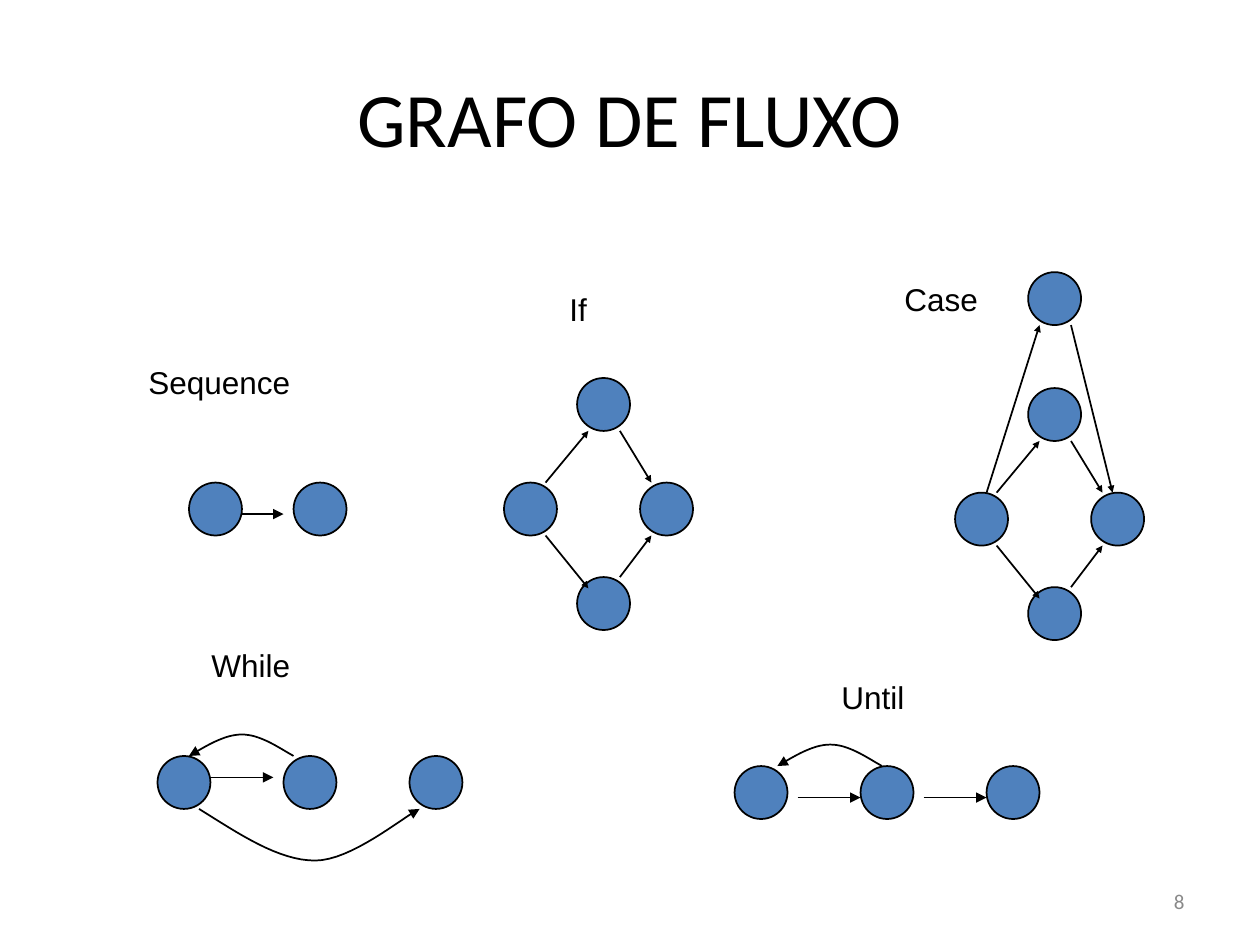
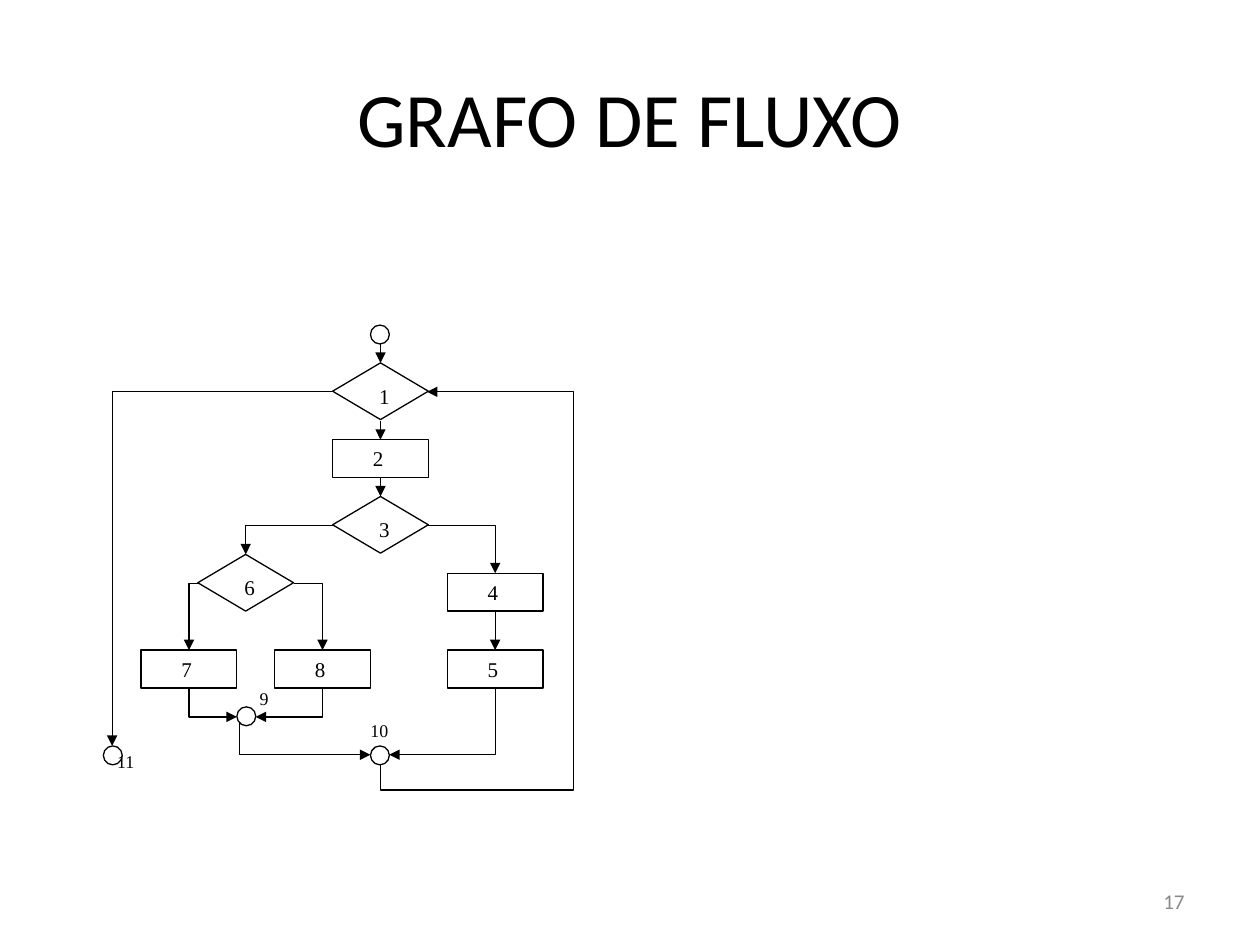
from lxml import etree
from pptx import Presentation
from pptx import util as u
from pptx.dml.color import RGBColor
from pptx.enum import shapes, text
from pptx.oxml import ns

BLACK = RGBColor(0x00, 0x00, 0x00)
WHITE = RGBColor(0xFF, 0xFF, 0xFF)
GREY = RGBColor(0x89, 0x89, 0x89)
BLUE = RGBColor(0x4F, 0x81, 0xBD)
TITLE = "GRAFO DE FLUXO"
NODE = 0.42
JOIN = 0.15
STEP_WIDTH = 0.76
DECISION_HEIGHT = 0.45
PROCESS_HEIGHT = 0.3
CURVE_STEPS = 16


def shift(origin, points):
    return [(origin[0] + x, origin[1] + y) for x, y in points]


def style_paragraph(paragraph, size, font, color, align):
    paragraph.alignment = align
    paragraph.font.size = u.Pt(size)
    paragraph.font.name = font
    paragraph.font.color.rgb = color


def add_text(slide, box, words, size, font, color=BLACK, align=text.PP_ALIGN.LEFT,
             anchor=text.MSO_ANCHOR.TOP, insets=(0.1, 0.05), spacing=None):
    shape = slide.shapes.add_textbox(*map(u.Inches, box))
    frame = shape.text_frame
    frame.word_wrap = True
    frame.vertical_anchor = anchor
    frame.margin_left = frame.margin_right = u.Inches(insets[0])
    frame.margin_top = frame.margin_bottom = u.Inches(insets[1])
    paragraph = frame.paragraphs[0]
    paragraph.text = words
    paragraph.line_spacing = spacing
    style_paragraph(paragraph, size, font, color, align)


def add_slide(presentation, number):
    slide = presentation.slides.add_slide(presentation.slide_layouts[5])
    title = slide.shapes.title
    title.left, title.top = u.Inches(0.5), u.Inches(0.3)
    title.width, title.height = u.Inches(9), u.Inches(1.25)
    title.text_frame.text = TITLE
    title.text_frame.vertical_anchor = text.MSO_ANCHOR.MIDDLE
    style_paragraph(title.text_frame.paragraphs[0], 44, "Calibri", BLACK, text.PP_ALIGN.CENTER)
    add_text(slide, (7.17, 6.95, 2.33, 0.4), number, 12, "Calibri", GREY,
             text.PP_ALIGN.RIGHT, text.MSO_ANCHOR.MIDDLE)
    return slide


def add_outline(slide, kind, box, fill, width):
    shape = slide.shapes.add_shape(kind, *map(u.Inches, box))
    shape.shadow.inherit = False
    shape.fill.solid()
    shape.fill.fore_color.rgb = fill
    shape.line.color.rgb = BLACK
    shape.line.width = u.Pt(width)
    return shape


def finish_arrow(shape, width, head):
    shape.line.color.rgb = BLACK
    shape.line.width = u.Pt(width)
    line = shape.line._get_or_add_ln()
    etree.SubElement(line, ns.qn("a:tailEnd"), type="triangle", w=head, len=head)


def add_arrow(slide, start, end, width=1, head="med"):
    connector = slide.shapes.add_connector(
        shapes.MSO_CONNECTOR.STRAIGHT, *map(u.Inches, (*start, *end)))
    finish_arrow(connector, width, head)
    etree.SubElement(connector._element.spPr, ns.qn("a:effectLst"))


def add_path_arrow(slide, points, width=1):
    start, *rest = [(u.Inches(x), u.Inches(y)) for x, y in points]
    builder = slide.shapes.build_freeform(*start)
    builder.add_line_segments(rest, close=False)
    shape = builder.convert_to_shape()
    shape.shadow.inherit = False
    shape.fill.background()
    finish_arrow(shape, width, "med")


def bezier(start, first, second, end):
    for step in range(1, CURVE_STEPS + 1):
        t = step / CURVE_STEPS
        weights = ((1 - t) ** 3, 3 * t * (1 - t) ** 2, 3 * t * t * (1 - t), t ** 3)
        yield tuple(sum(w * point[axis] for w, point in zip(weights, (start, first, second, end)))
                    for axis in (0, 1))


def add_curve_arrow(slide, points):
    path = [points[0]]
    for index in range(0, len(points) - 1, 3):
        path.extend(bezier(*points[index:index + 4]))
    add_path_arrow(slide, path)


def add_back_arc(slide, origin):
    add_curve_arrow(slide, shift(origin, [
        (0.83, 0), (0.69, -0.08), (0.56, -0.17), (0.42, -0.17),
        (0.28, -0.17), (0.14, -0.08), (0, 0)]))


def add_nodes(slide, origin, offsets):
    for x, y in shift(origin, offsets):
        add_outline(slide, shapes.MSO_SHAPE.OVAL, (x, y, NODE, NODE), BLUE, 1)


def add_node_row(slide, origin, count, pitch):
    add_nodes(slide, origin, [(index * pitch, 0) for index in range(count)])


def add_arrows(slide, origin, pairs, head="med"):
    for pair in pairs:
        add_arrow(slide, *shift(origin, pair), head=head)


def add_sequence(slide, origin):
    add_node_row(slide, origin, 2, 0.83)
    add_arrows(slide, origin, [((0.42, 0.25), (0.75, 0.25))])


def add_if(slide, origin):
    add_nodes(slide, origin, [(0, 0.83), (0.58, 1.58), (0.58, 0), (1.08, 0.83)])
    add_arrows(slide, origin, [
        ((0.33, 0.83), (0.67, 0.42)), ((0.92, 0.42), (1.17, 0.83)),
        ((0.33, 1.25), (0.67, 1.67)), ((0.92, 1.58), (1.17, 1.25))], "sm")


def add_case(slide, origin):
    add_if(slide, origin)
    add_nodes(slide, origin, [(0.58, -0.92)])
    add_arrows(slide, origin, [
        ((0.25, 0.83), (0.67, -0.5)), ((0.92, -0.5), (1.25, 0.83))], "sm")


def add_while(slide, origin):
    add_node_row(slide, origin, 3, 1)
    add_arrows(slide, origin, [((0.42, 0.17), (0.92, 0.17))])
    add_back_arc(slide, shift(origin, [(0.25, 0)])[0])
    add_curve_arrow(slide, shift(origin, [
        (0.33, 0.42), (0.65, 0.62), (0.96, 0.83), (1.25, 0.83),
        (1.54, 0.83), (1.94, 0.49), (2.08, 0.42)]))


def add_until(slide, origin):
    add_node_row(slide, origin, 3, 1)
    add_arrows(slide, origin, [((x, 0.25), (x + 0.5, 0.25)) for x in (0.5, 1.5)])
    add_back_arc(slide, shift(origin, [(0.34, 0)])[0])


def add_structures_slide(presentation):
    slide = add_slide(presentation, "8")
    structures = [
        ("Sequence", (1.08, 2.83, 1.83), add_sequence, (1.5, 3.83)),
        ("If", (4.42, 2.25, 0.92), add_if, (4, 3)),
        ("Case", (7.08, 2.17, 0.92), add_case, (7.58, 3.08)),
        ("While", (1.58, 5.08, 1.92), add_while, (1.25, 6)),
        ("Until", (6.58, 5.33, 1.5), add_until, (5.83, 6.08)),
    ]
    for name, label_box, draw, origin in structures:
        draw(slide, origin)
        add_text(slide, (*label_box, 0.4), name, 18, "Arial")


def add_step(slide, kind, box, number, indent):
    shape = add_outline(slide, kind, box, WHITE, 0.75)
    frame = shape.text_frame
    frame.word_wrap = True
    frame.vertical_anchor = text.MSO_ANCHOR.TOP
    frame.margin_left, frame.margin_right = u.Inches(indent), 0
    frame.margin_top = frame.margin_bottom = u.Inches(0.05)
    frame.text = number
    style_paragraph(frame.paragraphs[0], 12, "Times New Roman", BLACK, text.PP_ALIGN.LEFT)


def add_flowchart(slide, origin):
    decisions = {"1": (1.82, 0.3), "3": (1.82, 1.36), "6": (0.75, 1.82)}
    processes = {"2": (1.82, 0.91), "4": (2.73, 1.97), "5": (2.73, 2.58),
                 "7": (0.3, 2.58), "8": (1.36, 2.58)}
    joins = [(2.12, 0), (2.12, 3.34), (1.06, 3.03), (0, 3.34)]
    join_labels = {"10": (2, 3.09, 0.44), "9": (1.12, 2.84, 0.3), "11": (-0.01, 3.34, 0.44)}
    straight_arrows = [(2.2, 0.15, 0.3), (2.2, 0.76, 0.91), (2.2, 1.21, 1.36), (3.11, 2.28, 2.58)]
    bent_arrows = [
        [(2.57, 1.59), (3.11, 1.59), (3.11, 1.97)],
        [(1.82, 1.59), (1.13, 1.59), (1.13, 1.82)],
        [(0.76, 2.05), (0.68, 2.05), (0.68, 2.58)],
        [(1.51, 2.05), (1.74, 2.05), (1.74, 2.58)],
        [(0.68, 2.88), (0.68, 3.11), (1.06, 3.11)],
        [(1.74, 2.88), (1.74, 3.11), (1.21, 3.11)],
        [(1.08, 3.16), (1.08, 3.41), (2.12, 3.41)],
        [(3.11, 2.88), (3.11, 3.41), (2.27, 3.41)],
        [(1.82, 0.53), (0.07, 0.53), (0.07, 3.34)],
        [(2.2, 3.49), (2.2, 3.69), (3.73, 3.69), (3.73, 0.53), (2.57, 0.53)],
    ]
    for steps, kind, height, indent in (
            (decisions, shapes.MSO_SHAPE.FLOWCHART_DECISION, DECISION_HEIGHT, 0.18),
            (processes, shapes.MSO_SHAPE.FLOWCHART_PROCESS, PROCESS_HEIGHT, 0.32)):
        for number, place in steps.items():
            x, y = shift(origin, [place])[0]
            add_step(slide, kind, (x, y, STEP_WIDTH, height), number, indent)
    for x, top, bottom in straight_arrows:
        add_arrow(slide, *shift(origin, [(x, top), (x, bottom)]), width=0.75)
    for points in bent_arrows:
        add_path_arrow(slide, shift(origin, points), 0.75)
    for x, y in shift(origin, joins):
        add_outline(slide, shapes.MSO_SHAPE.FLOWCHART_CONNECTOR, (x, y, JOIN, JOIN), WHITE, 0.75)
    for number, (x, y, width) in join_labels.items():
        add_text(slide, (origin[0] + x, origin[1] + y, width, 0.3), number, 10.2,
                 "Times New Roman", insets=(0.12, 0.06), spacing=0.9)


def main():
    presentation = Presentation()
    presentation.slide_width, presentation.slide_height = u.Inches(10), u.Inches(7.5)
    add_structures_slide(presentation)
    add_flowchart(add_slide(presentation, "17"), (0.82, 2.58))
    presentation.save("out.pptx")


if __name__ == "__main__":
    main()
